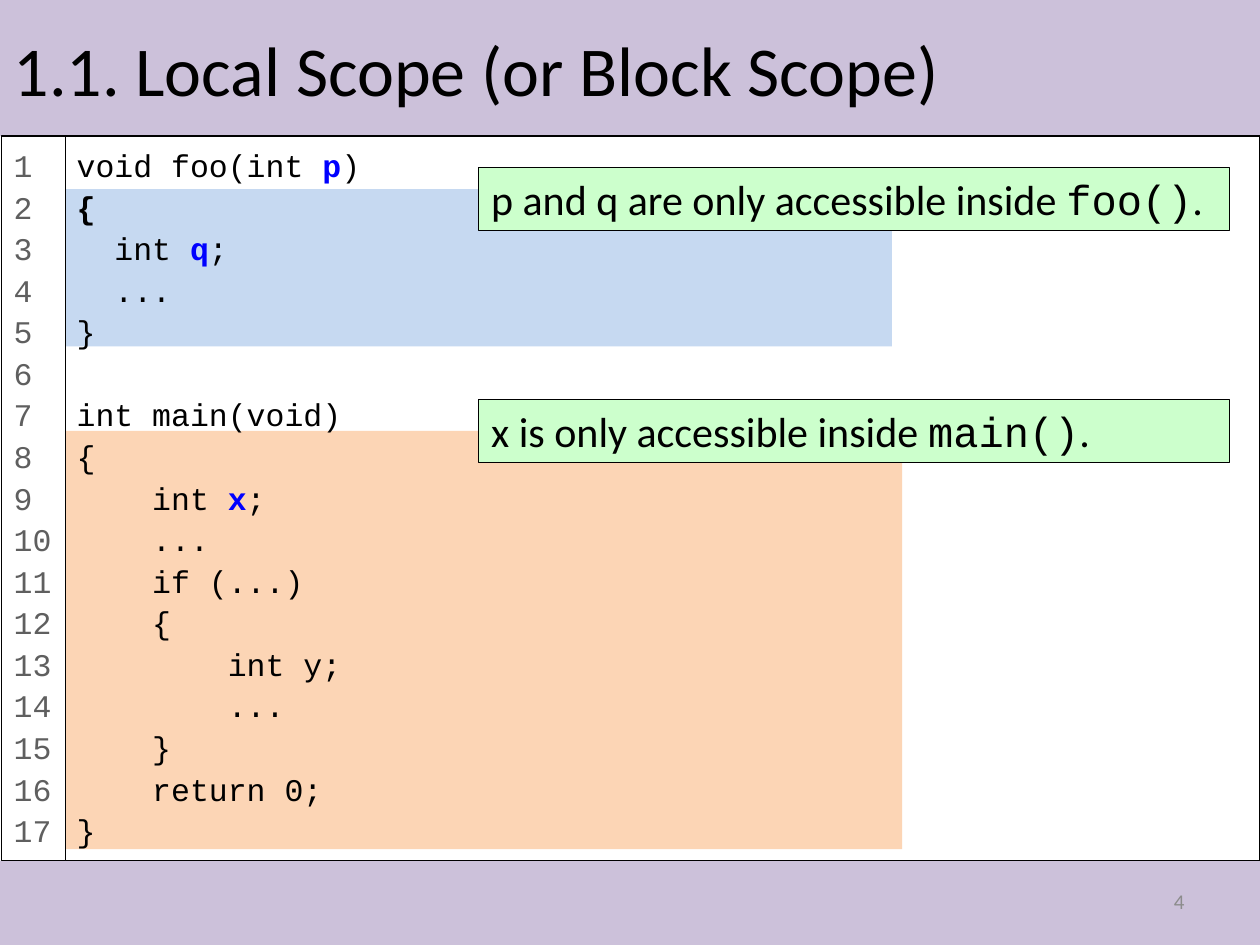
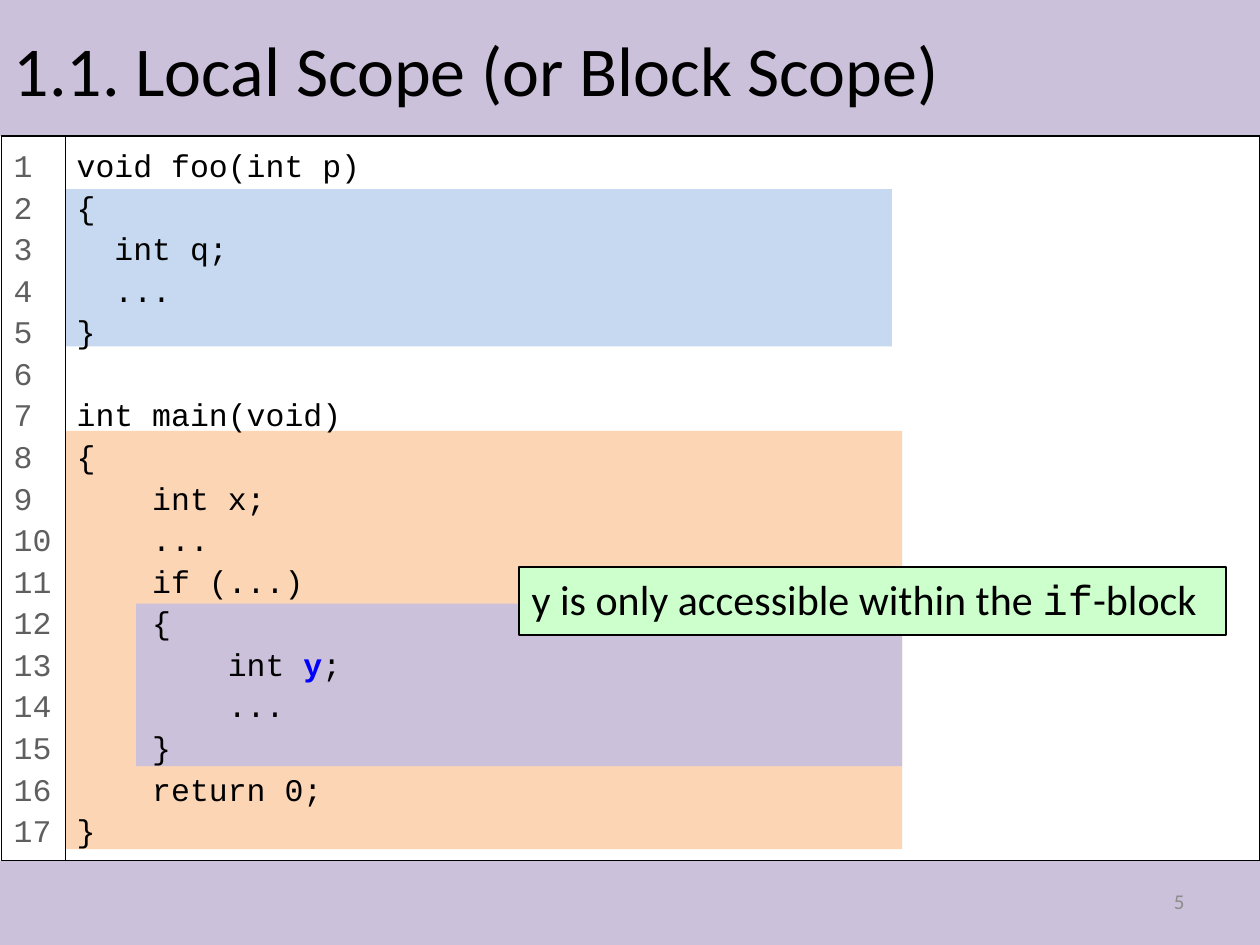
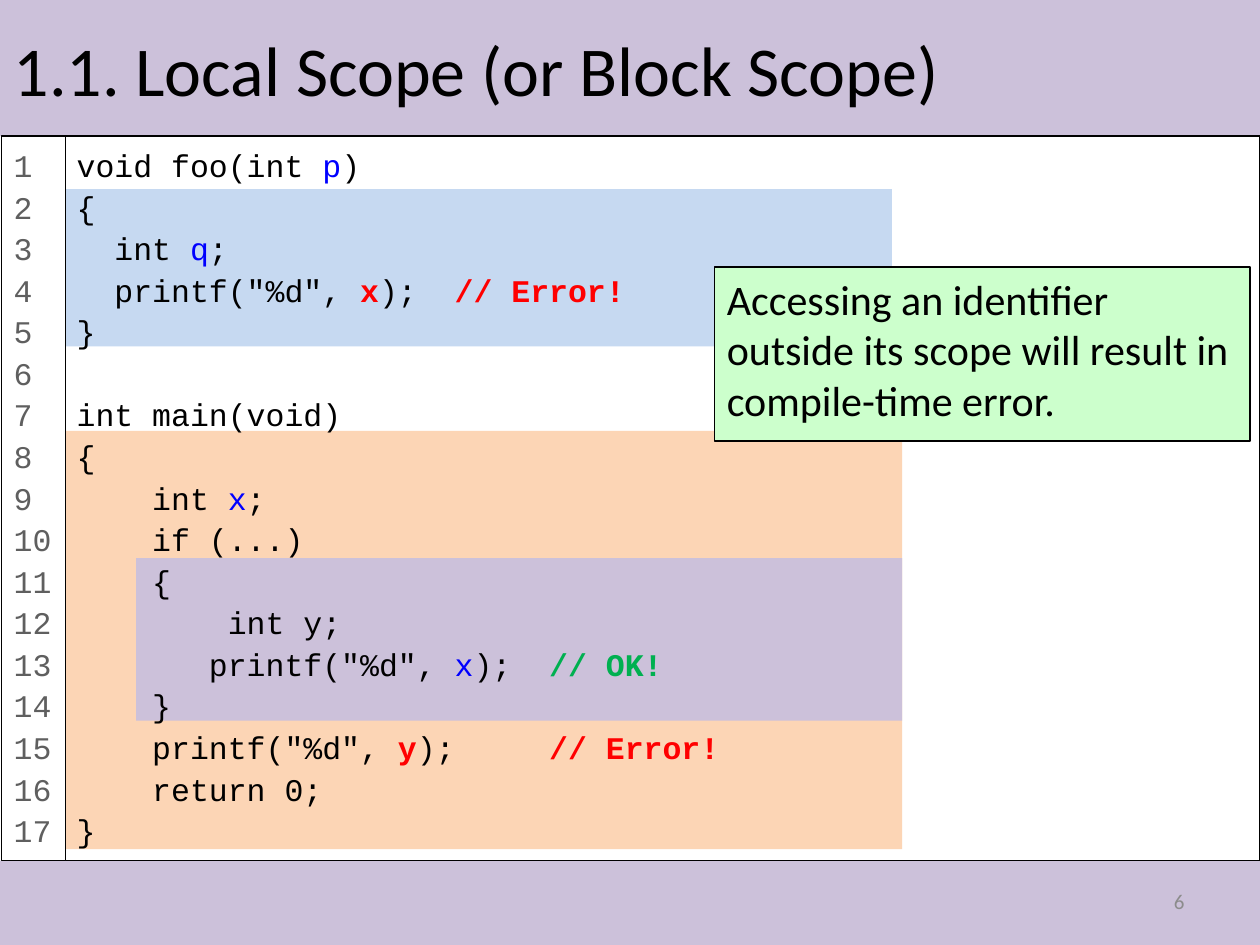
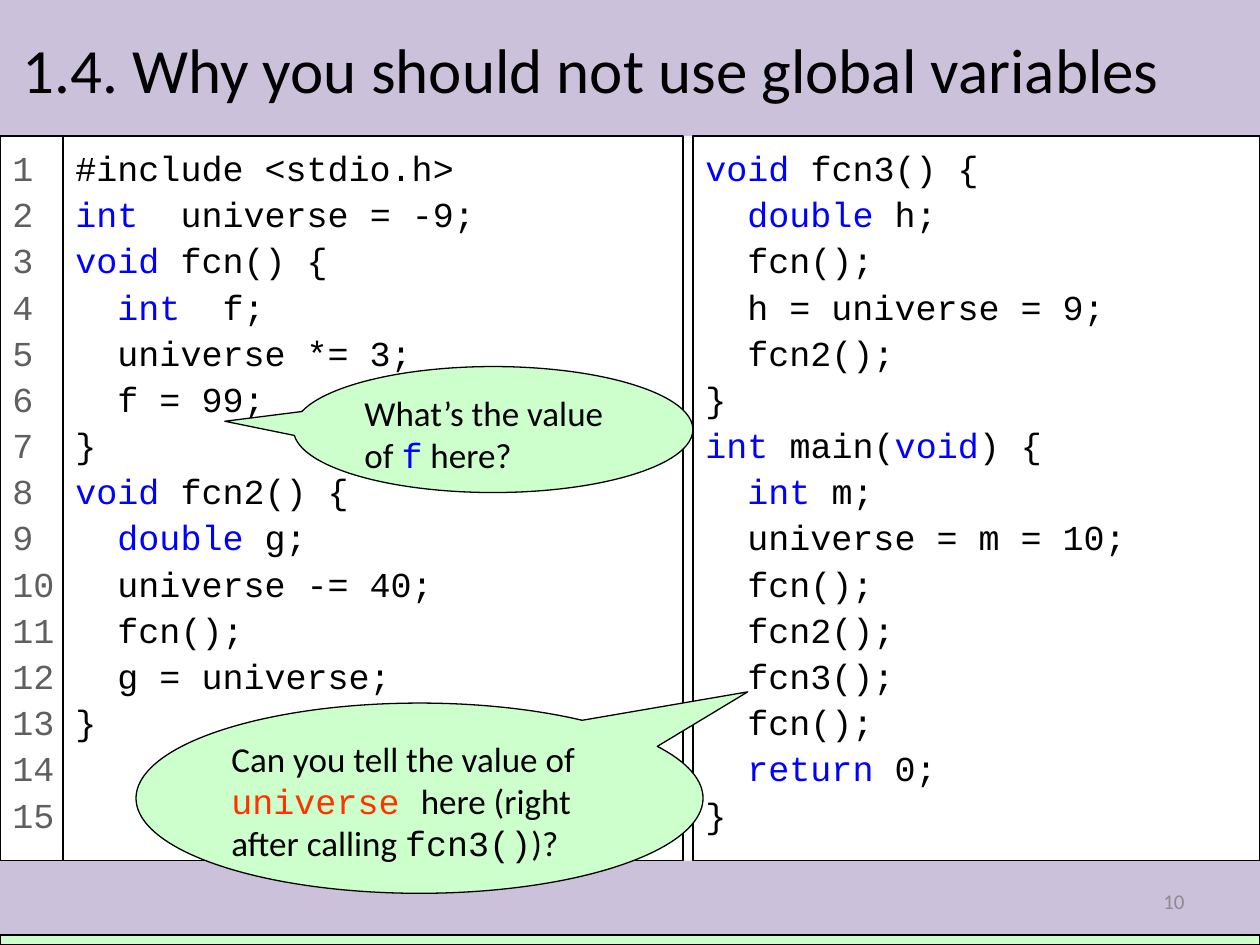
import pptx
import pptx.util
import pptx.dml.color
import pptx.enum.shapes
import pptx.enum.text

Inches = pptx.util.Inches
Pt = pptx.util.Pt
SHAPE = pptx.enum.shapes.MSO_SHAPE
ANCHOR = pptx.enum.text.MSO_ANCHOR
ALIGN = pptx.enum.text.PP_ALIGN

COLORS = {
    "black": "000000", "white": "FFFFFF", "lavender": "CCC1DA",
    "peach": "FCD5B5", "sky": "C6D9F1", "mint": "CCFFCC",
    "number": "5F5F5F", "page": "8C8C8C", "blue": "0000FF",
    "red": "FF0000", "green": "00B050", "orange": "FF3300",
}
BODY, MONO = "Calibri", "Courier New"

# Text is split at "|"; every second piece opens with one of these letters.
STYLES = {
    "b": {"color": "blue"},
    "B": {"color": "blue", "bold": True},
    "R": {"color": "red", "bold": True},
    "G": {"color": "green", "bold": True},
    "K": {"bold": True},
    "m": {"font": MONO},
    "f": {"font": MONO, "color": "blue"},
    "o": {"font": MONO, "color": "orange"},
}

TOP_BAND = (0, 0, 10, 1.08)
BOTTOM_BAND = (0, 6.83, 10, 0.67)
PAGE_BOX = (7.17, 6.95, 2.33, 0.4)
PANEL_TOP, PANEL_HEIGHT = 1.08, 5.75

FOO_BLOCK = ("sky", (0.51, 1.5, 6.57, 1.25))
MAIN_BLOCK = ("peach", (0.52, 3.42, 6.64, 3.32))


def if_block(top):
    return ("lavender", (1.08, top, 6.08, 1.29))


SCOPE_CODE = """void foo(int p)
{
  int q;
  ...
}

int main(void)
{
    int x;
    ...
    if (...)
    {
        int y;
        ...
    }
    return 0;
}""".split("\n")

SCOPE_SLIDES = [
    {
        "page": 4,
        "blocks": [MAIN_BLOCK, FOO_BLOCK],
        "changed_lines": {
            1: "void foo(int |Bp|)",
            2: "|K{|",
            3: "  int |Bq|;",
            9: "    int |Bx|;",
        },
        "notes": [
            ("p and q are only accessible inside |mfoo()|.", (3.8, 1.33, 5.96, 0.5)),
            ("x is only accessible inside |mmain()|.", (3.8, 3.17, 5.96, 0.5)),
        ],
    },
    {
        "page": 5,
        "blocks": [MAIN_BLOCK, if_block(4.79), FOO_BLOCK],
        "changed_lines": {13: "        int |By|;"},
        "notes": [
            ("y is only accessible within the |mif|-block", (4.12, 4.5, 5.61, 0.54)),
        ],
    },
    {
        "page": 6,
        "blocks": [MAIN_BLOCK, if_block(4.43), FOO_BLOCK],
        "changed_lines": {
            1: "void foo(int |bp|)",
            3: "  int |bq|;",
            4: '  printf("%d", |Rx|);|R  // Error!|',
            9: "    int |bx|;",
            10: "    if (...)",
            11: "    {",
            12: "        int y;",
            13: '       printf("%d", |bx|);  |G// OK!|',
            14: "    }",
            15: '    printf("%d", |Ry|);  |R   // Error!|',
        },
        "notes": [
            ("Accessing an identifier outside its scope will result in "
             "compile-time error.", (5.67, 2.12, 4.25, 1.38)),
        ],
    },
]

GLOBAL_CODE_LEFT = """#include <stdio.h>
|bint|  universe = -9;
|bvoid |fcn() {
  |bint|  f;
  universe *= 3;
  f = 99;
}
|bvoid| fcn2() {
  |bdouble| g;
  universe -= 40;
  fcn();
  g = universe;
}""".split("\n")

GLOBAL_CODE_RIGHT = """|bvoid| fcn3() {
  |bdouble |h;
  fcn();
  h = universe = 9;
  fcn2();
}
|bint| main(|bvoid|) {
  |bint |m;
  universe = m = 10;
  fcn();
  fcn2();
  fcn3();
  fcn();
  |breturn| 0;
}""".split("\n")

QUESTIONS = [
    ("Can you tell the value of |ouniverse |here (right after calling |mfcn3()|)?",
     (1.08, 5.58, 4.5, 1.51), (0.579, -0.559)),
    ("What’s the value of |ff| here?", (2.33, 2.91, 3.17, 1), (-0.672, -0.066)),
]


def color_of(name):
    return pptx.dml.color.RGBColor.from_string(COLORS[name])


def add_box(slide, box, fill=None, outlined=False, kind=SHAPE.RECTANGLE):
    shape = slide.shapes.add_shape(kind, *map(Inches, box))
    shape.shadow.inherit = False
    if fill:
        shape.fill.solid()
        shape.fill.fore_color.rgb = color_of(fill)
    else:
        shape.fill.background()
    if outlined:
        shape.line.color.rgb = color_of("black")
        shape.line.width = Pt(0.75)
    else:
        shape.line.fill.background()
    return shape


def write(shape, lines, size, font=BODY, color="black", anchor=ANCHOR.TOP,
          align=ALIGN.LEFT, spacing=None):
    """Fill a shape with one paragraph a line, styling the marked pieces."""
    frame = shape.text_frame
    frame.word_wrap = True
    frame.vertical_anchor = anchor
    for index, line in enumerate(lines):
        paragraph = frame.add_paragraph() if index else frame.paragraphs[0]
        paragraph.alignment = align
        paragraph.line_spacing = spacing
        paragraph.font.size = Pt(size)
        paragraph.font.name = font
        paragraph.font.color.rgb = color_of(color)
        for position, piece in enumerate(line.split("|")):
            if not piece:
                continue
            run = paragraph.add_run()
            if position % 2 == 0:
                run.text = piece
                continue
            run.text = piece[1:]
            style = STYLES[piece[0]]
            if "font" in style:
                run.font.name = style["font"]
            if "color" in style:
                run.font.color.rgb = color_of(style["color"])
            if "bold" in style:
                run.font.bold = style["bold"]
    return frame


def add_text(slide, box, text, size, **options):
    text_box = slide.shapes.add_textbox(*map(Inches, box))
    write(text_box, [text], size, anchor=ANCHOR.MIDDLE, **options)


def add_code(slide, left, width, lines, size, fill=None, color="black"):
    panel = add_box(slide, (left, PANEL_TOP, width, PANEL_HEIGHT), fill, True)
    return write(panel, lines, size, MONO, color, spacing=1.1)


def add_line_numbers(slide, left, width, count, size):
    numbers = [str(number) for number in range(1, count + 1)]
    return add_code(slide, left, width, numbers, size, "white", "number")


def start_slide(presentation, title, title_box, title_size, page):
    slide = presentation.slides.add_slide(presentation.slide_layouts[6])
    for band in (TOP_BAND, BOTTOM_BAND):
        add_box(slide, band, "lavender")
    add_text(slide, title_box, title, title_size)
    add_text(slide, PAGE_BOX, str(page), 12, color="page", align=ALIGN.RIGHT)
    return slide


def add_scope_slide(presentation, content):
    slide = start_slide(presentation, "1.1. Local Scope (or Block Scope)",
                        (0.01, 0, 9.99, 1.08), 40, content["page"])
    for fill, box in content["blocks"]:
        add_box(slide, box, fill)
    lines = [content["changed_lines"].get(number, line)
             for number, line in enumerate(SCOPE_CODE, 1)]
    add_code(slide, 0.51, 9.49, lines, 18)
    add_line_numbers(slide, 0.01, 0.51, len(lines), 18).word_wrap = False
    for text, box in content["notes"]:
        write(add_box(slide, box, "mint", True), [text], 24)


def add_globals_slide(presentation):
    slide = start_slide(presentation, "1.4. Why you should not use global variables",
                        (0.08, 0.08, 9.84, 0.92), 36, 10)
    add_code(slide, 0.5, 4.92, GLOBAL_CODE_LEFT, 20, "white")
    add_line_numbers(slide, 0, 0.5, len(GLOBAL_CODE_RIGHT), 20).margin_right = 0
    add_box(slide, (0, 7.42, 10, 0.08), "mint", True)
    add_code(slide, 5.5, 4.5, GLOBAL_CODE_RIGHT, 20, "white")
    for text, box, tip in QUESTIONS:
        callout = add_box(slide, box, "mint", True, SHAPE.OVAL_CALLOUT)
        callout.adjustments[0], callout.adjustments[1] = tip
        write(callout, [text], 20)


def main():
    presentation = pptx.Presentation()
    presentation.slide_width = Inches(10)
    presentation.slide_height = Inches(7.5)
    for content in SCOPE_SLIDES:
        add_scope_slide(presentation, content)
    add_globals_slide(presentation)
    presentation.save("out.pptx")


if __name__ == "__main__":
    main()
